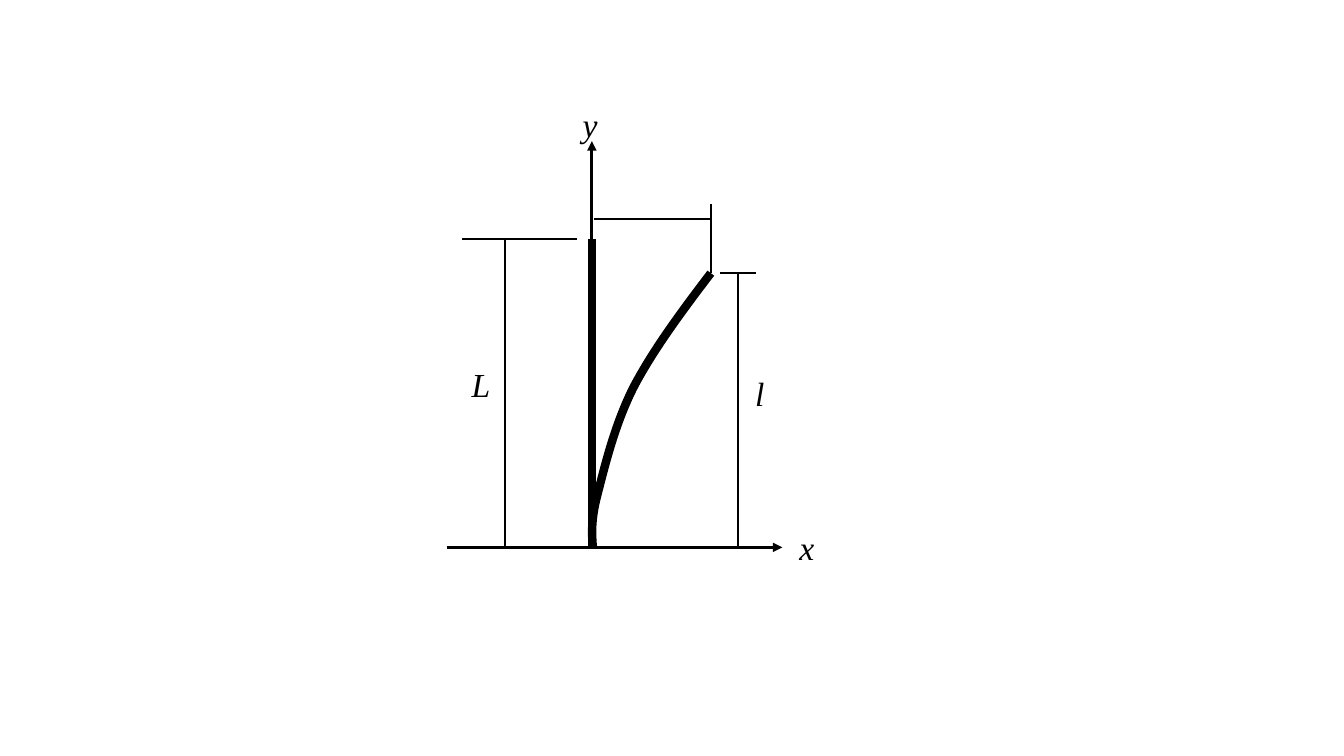
from dataclasses import dataclass

from lxml import etree
from pptx import Presentation
from pptx.dml.color import RGBColor
from pptx.enum.shapes import MSO_CONNECTOR
from pptx.enum.text import MSO_AUTO_SIZE
from pptx.oxml.ns import qn
from pptx.util import Pt

STRAIGHT = MSO_CONNECTOR.STRAIGHT
FIT_SHAPE = MSO_AUTO_SIZE.SHAPE_TO_FIT_TEXT
PX = 9144  # 100 px to the inch
BLANK_LAYOUT = 6


@dataclass(frozen=True)
class Theme:
    ink: RGBColor = RGBColor(0, 0, 0)
    font: str = "Times New Roman"
    label_size: int = 24
    beam_width: float = 6
    axis_width: float = 2.25
    dimension_width: float = 1.5


class Diagram:
    def __init__(self, slide, theme):
        self.theme = theme
        self.shapes = slide.shapes.add_group_shape().shapes

    def style_line(self, line, width):
        line.color.rgb = self.theme.ink
        line.width = Pt(width)

    def line(self, start, end, width, arrow=False):
        ends = [value * PX for value in (*start, *end)]
        connector = self.shapes.add_connector(STRAIGHT, *ends)
        self.style_line(connector.line, width)
        properties = connector._element.spPr
        if arrow:
            etree.SubElement(properties.find(qn("a:ln")), qn("a:tailEnd"), type="triangle")
        etree.SubElement(properties, qn("a:effectLst"))

    def curve(self, start, controls, width):
        """Draw joined cubic curves; every three points make one curve."""
        builder = self.shapes.build_freeform(*start, scale=PX)
        builder.add_line_segments(controls, close=False)
        shape = builder.convert_to_shape()
        shape.shadow.inherit = False
        shape.fill.background()
        self.style_line(shape.line, width)
        outline = next(shape._element.iter(qn("a:path")))
        segments = outline.findall(qn("a:lnTo"))
        for first in range(0, len(segments), 3):
            bezier = etree.SubElement(outline, qn("a:cubicBezTo"))
            for segment in segments[first:first + 3]:
                bezier.append(segment[0])
                outline.remove(segment)

    def label(self, text, left, top, width, height=50):
        box = self.shapes.add_textbox(left * PX, top * PX, width * PX, height * PX)
        frame = box.text_frame
        frame.word_wrap = False
        frame.auto_size = FIT_SHAPE
        frame.text = text
        font = frame.paragraphs[0].runs[0].font
        font.name = self.theme.font
        font.size = Pt(self.theme.label_size)
        font.italic = True
        font.color.rgb = self.theme.ink


def main():
    deck = Presentation()
    deck.slide_width, deck.slide_height = 1333 * PX, 750 * PX
    slide = deck.slides.add_slide(deck.slide_layouts[BLANK_LAYOUT])
    theme = Theme()
    diagram = Diagram(slide, theme)

    base, beam_top, tip_x, tip_y = 543, 237, 705, 271
    beam_x, full_x, bent_x = 587, 501, 732

    diagram.line((beam_x, base), (beam_x, beam_top), theme.beam_width)
    bent_beam = [
        (587, 529), (586, 515), (593, 489),
        (600, 462), (610, 420), (629, 383),
        (648, 347), (676, 309), (tip_x, tip_y),
    ]
    diagram.curve((588, base), bent_beam, theme.beam_width)

    diagram.line((beam_x, 252), (beam_x, 140), theme.axis_width, arrow=True)
    diagram.line((443, base), (776, base), theme.axis_width, arrow=True)

    dimensions = [
        ((572, beam_top), (458, beam_top)),
        ((full_x, base), (full_x, beam_top)),
        ((750, tip_y), (714, tip_y)),
        ((bent_x, base), (bent_x, tip_y)),
        ((tip_x, tip_y), (tip_x, 202)),
        ((tip_x, 217), (589, 217)),
    ]
    for start, end in dimensions:
        diagram.line(start, end, theme.dimension_width)

    labels = [("L", 458, 356, 39), ("l", 739, 365, 29), ("x", 783, 518, 35), ("y", 568, 98, 35)]
    for text, left, top, width in labels:
        diagram.label(text, left, top, width)

    deck.save("out.pptx")


if __name__ == "__main__":
    main()
